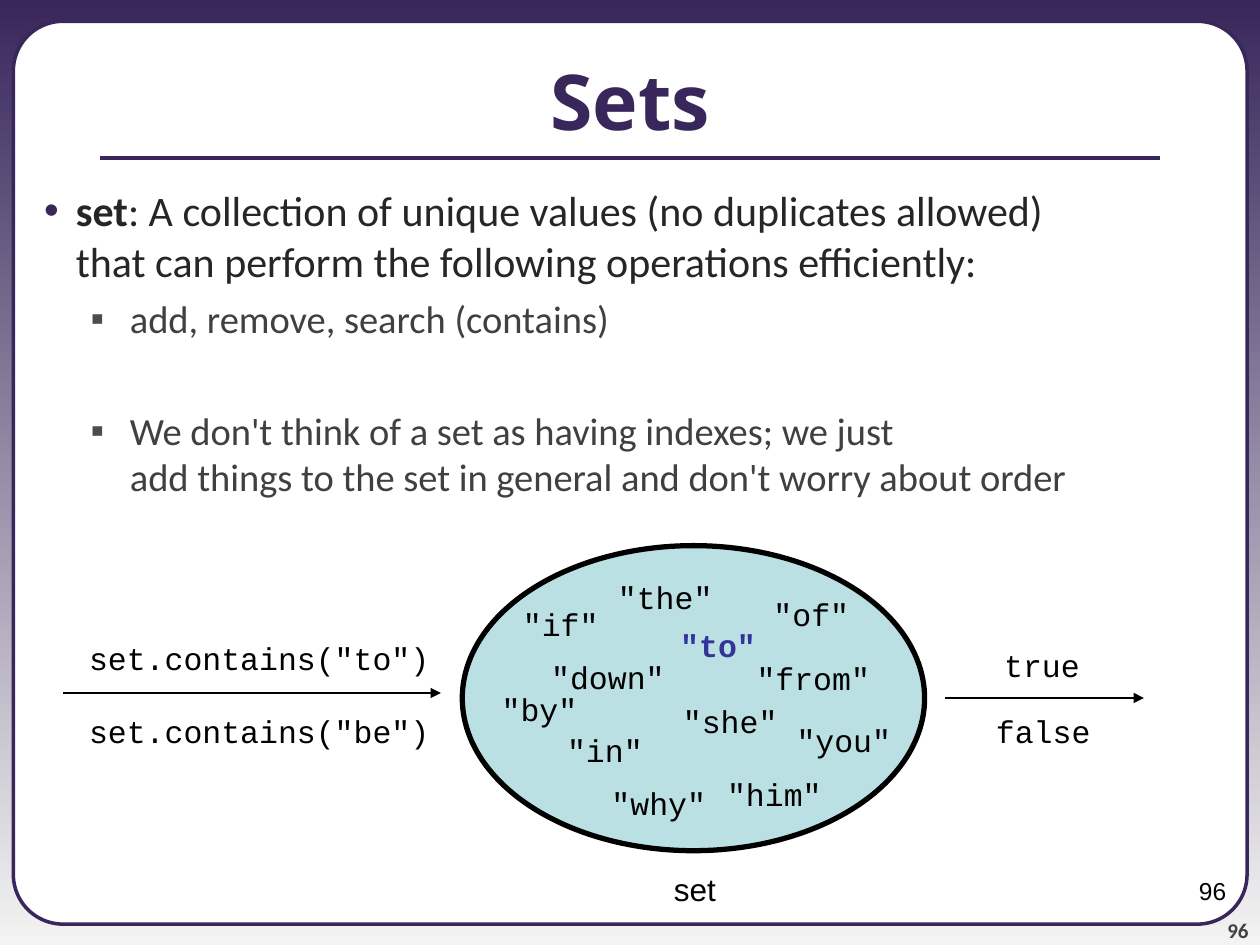
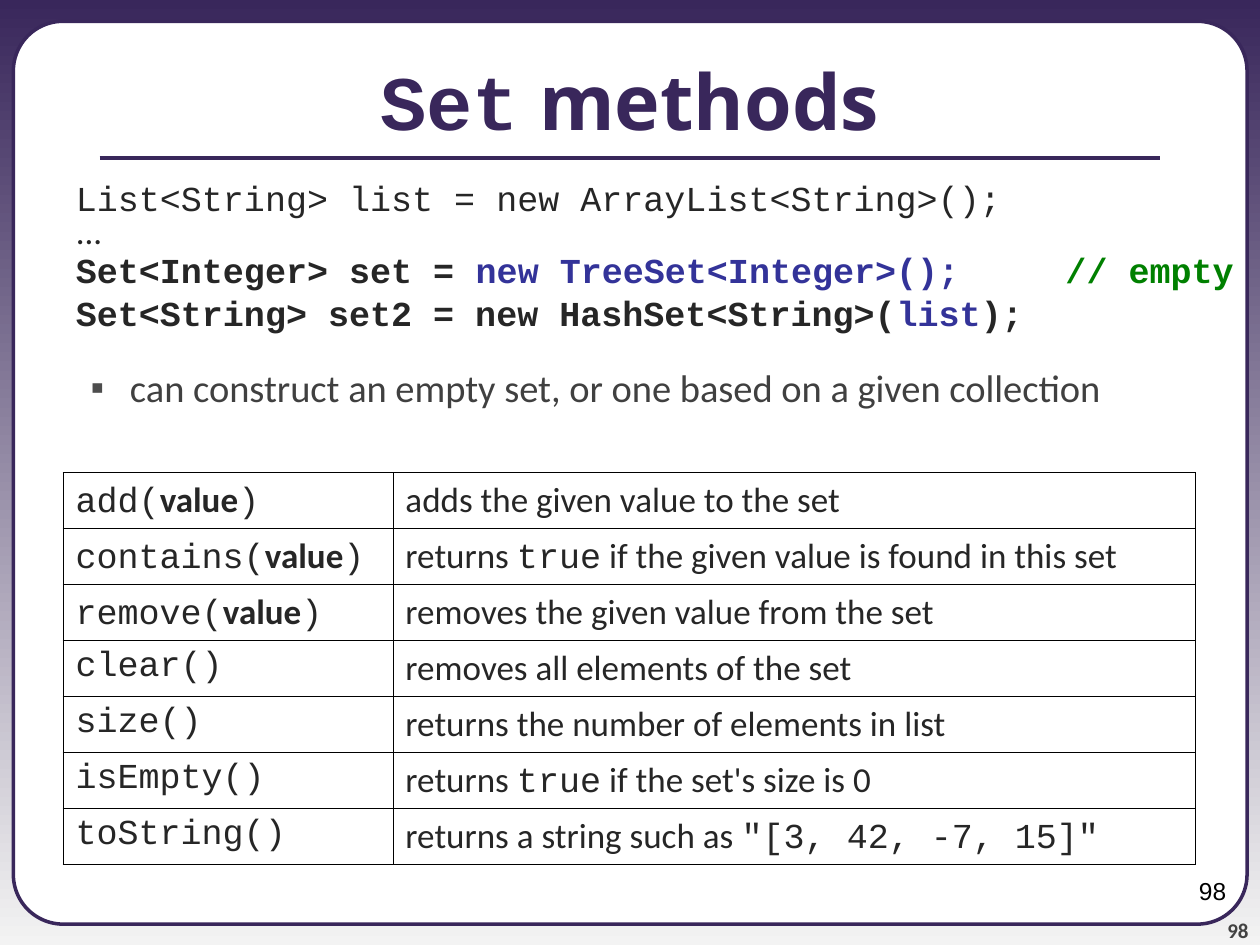
"""Build two lecture slides about sets."""
from dataclasses import dataclass

import lxml.etree
import pptx
import pptx.dml.color
import pptx.enum.shapes
import pptx.enum.text
import pptx.oxml.ns
import pptx.util

Cm = pptx.util.Cm
Pt = pptx.util.Pt
qn = pptx.oxml.ns.qn
ALIGN = pptx.enum.text.PP_ALIGN
ANCHOR = pptx.enum.text.MSO_ANCHOR
SHAPE = pptx.enum.shapes.MSO_SHAPE

PURPLE, PALE, WHITE, BLACK = "39275B", "F3F3F3", "FFFFFF", "000000"
INK, GREY, BULLET_GREY, FOOT = "262626", "404040", "4D4D4D", "424242"
BLUE, GREEN, AQUA = "333399", "008000", "BBE0E3"
SANS, MONO, HEAD, PLAIN = "Calibri", "Courier New", "Noto Sans", "Arial"


@dataclass(frozen=True)
class Run:
    """A stretch of text in one format."""
    text: str
    size: float
    font: str = SANS
    color: str = INK
    bold: bool = False


@dataclass(frozen=True)
class Para:
    """A paragraph with its indents (cm) and spacing (points)."""
    runs: tuple[Run, ...]
    align: ALIGN = ALIGN.LEFT
    before: float = 0
    spacing: float = 1
    margin: float = 0
    hang: float = 0
    bullet: str = ""
    bullet_color: str = BULLET_GREY


@dataclass(frozen=True)
class Label:
    """A short centred text placed by its left top corner (cm)."""
    text: str
    left: float
    top: float
    font: str = MONO
    color: str = BLACK
    bold: bool = False


@dataclass(frozen=True)
class Arrow:
    """A horizontal arrow (cm)."""
    start: float
    end: float
    y: float


ARROWS = (Arrow(1.27, 8.89, 13.97), Arrow(19.05, 23.06, 14.07))
LABELS = (
    Label('set.contains("to")', 1.45, 12.75),
    Label('set.contains("be")', 1.45, 14.22),
    Label("true", 19.96, 12.9),
    Label("false", 19.79, 14.22),
    Label("set", 13.16, 17.4, PLAIN),
    Label('"the"', 12.17, 11.53),
    Label('"of"', 15.31, 11.86),
    Label('"from"', 14.96, 13.16),
    Label('"to"', 13.43, 12.5, color=BLUE, bold=True),
    Label('"she"', 13.48, 14.02),
    Label('"you"', 15.77, 14.4),
    Label('"him"', 14.37, 15.49),
    Label('"why"', 12.04, 15.67),
    Label('"in"', 11.15, 14.6),
    Label('"down"', 10.82, 13.13),
    Label('"by"', 9.83, 13.79),
    Label('"if"', 10.26, 12.07),
)


def rgb(value: str) -> pptx.dml.color.RGBColor:
    """Turn a hex string into a colour."""
    return pptx.dml.color.RGBColor.from_string(value)


def apply(target, values: dict) -> None:
    """Set each attribute named in values."""
    for name, value in values.items():
        setattr(target, name, value)


def add_child(parent, tag: str, **attributes: str):
    """Append an XML element and return it."""
    child = lxml.etree.SubElement(parent, qn(tag))
    for name, value in attributes.items():
        child.set(name, value)
    return child


def add_run(p, run: Run) -> None:
    """Add a run, with a line break at each newline."""
    for i, line in enumerate(run.text.split("\n")):
        if i:
            p.add_line_break()
        r = p.add_run()
        r.text = line
        apply(r.font, {"size": Pt(run.size), "name": run.font, "bold": run.bold})
        r.font.color.rgb = rgb(run.color)


def write(tf, paras: tuple[Para, ...]) -> None:
    """Fill a text frame with paragraphs."""
    for i, para in enumerate(paras):
        p = tf.add_paragraph() if i else tf.paragraphs[0]
        pPr = p._p.get_or_add_pPr()
        pPr.set("marL", str(Cm(para.margin)))
        pPr.set("indent", str(Cm(-para.hang)))
        if para.bullet:
            add_child(add_child(pPr, "a:buClr"), "a:srgbClr", val=para.bullet_color)
            add_child(pPr, "a:buFont", typeface=PLAIN)
            add_child(pPr, "a:buChar", char=para.bullet)
        apply(p, {"alignment": para.align, "space_before": Pt(para.before),
                  "line_spacing": para.spacing})
        for run in para.runs:
            add_run(p, run)


def add_text(s, left: float, top: float, width: float, height: float,
             paras: tuple[Para, ...], anchor=ANCHOR.TOP, wrap: bool = True,
             inset: tuple[float, float] = (0.25, 0.13)) -> None:
    """Add a text box."""
    tf = s.shapes.add_textbox(Cm(left), Cm(top), Cm(width), Cm(height)).text_frame
    across, down = map(Cm, inset)
    apply(tf, {"word_wrap": wrap, "vertical_anchor": anchor, "margin_left": across,
               "margin_right": across, "margin_top": down, "margin_bottom": down})
    write(tf, paras)


def add_panel(s, kind, left: float, top: float, width: float, height: float,
              fill: str, line: str, weight: float):
    """Add a filled and outlined shape."""
    sp = s.shapes.add_shape(kind, Cm(left), Cm(top), Cm(width), Cm(height))
    sp.shadow.inherit = False
    sp.fill.solid()
    sp.fill.fore_color.rgb = rgb(fill)
    sp.line.color.rgb = rgb(line)
    sp.line.width = Pt(weight)
    return sp


def add_line(s, start: float, end: float, y: float, color: str, weight: float,
             arrow: bool = False) -> None:
    """Add a horizontal line, with an arrowhead if asked."""
    line = s.shapes.add_connector(pptx.enum.shapes.MSO_CONNECTOR.STRAIGHT,
                                  Cm(start), Cm(y), Cm(end), Cm(y))
    line.line.color.rgb = rgb(color)
    line.line.width = Pt(weight)
    if arrow:
        add_child(line.line._get_or_add_ln(), "a:tailEnd", type="triangle")
    add_child(line._element.spPr, "a:effectLst")


def add_slide(prs, number: int, *title: Run):
    """Add a slide with background, frame, title and page numbers."""
    s = prs.slides.add_slide(prs.slide_layouts[6])
    fill = s.background.fill
    fill.gradient()
    fill.gradient_angle = 270
    for stop, color in zip(fill.gradient_stops, (PURPLE, PALE)):
        stop.color.rgb = rgb(color)
    frame = add_panel(s, SHAPE.ROUNDED_RECTANGLE, 0.27, 0.43, 24.87, 18.2,
                      WHITE, PURPLE, 2)
    frame.adjustments[0] = 0.055
    add_text(s, 23.06, 17.98, 2.11, 1.02,
             (Para((Run(str(number), 12, SANS, FOOT, True),), ALIGN.RIGHT),),
             ANCHOR.BOTTOM, inset=(0, 0))
    add_line(s, 2.01, 23.39, 3.18, PURPLE, 2.25)
    add_text(s, 0, 0.43, 25.4, 3.18, (Para(title, ALIGN.CENTER),), ANCHOR.MIDDLE)
    add_text(s, 19.05, 17.52, 5.92, 1.32,
             (Para((Run(str(number), 14, PLAIN, BLACK),), ALIGN.RIGHT),))
    return s


def title_run(text: str, font: str = HEAD) -> Run:
    """Return a run in the title format."""
    return Run(text, 44, font, PURPLE, True)


def point(text: str, before: float) -> Para:
    """Return a second-level bullet."""
    return Para((Run(text, 22, SANS, GREY),), before=before,
                margin=2.37, hang=0.79, bullet="▪")


def code(*runs: Run, before: float = 5, spacing: float = 0.8) -> Para:
    """Return a line of code."""
    return Para(runs, before=before, spacing=spacing, margin=1.28)


def mono(text: str, color: str = INK, bold: bool = False) -> Run:
    """Return a run of code."""
    return Run(text, 20, MONO, color, bold)


def add_body(s, *paras: Para) -> None:
    """Add the main text below the title."""
    add_text(s, 0, 3.6, 25.4, 15.44, paras)


def add_methods(s, rows: tuple[tuple[tuple[Run, ...], ...], ...]) -> None:
    """Add the table of methods."""
    widths = (6.65, 16.18)
    table = s.shapes.add_table(len(rows), len(widths), Cm(1.27), Cm(9.53),
                               Cm(sum(widths)), Cm(1.13 * len(rows))).table
    apply(table, {"first_row": False, "horz_banding": False})
    for column, width in zip(table.columns, widths):
        column.width = Cm(width)
    for i, row in enumerate(rows):
        for j, runs in enumerate(row):
            cell = table.cell(i, j)
            tcPr = cell._tc.get_or_add_tcPr()
            for side in ("a:lnL", "a:lnR", "a:lnT", "a:lnB"):
                ln = add_child(tcPr, side, w=str(Pt(0.45)))
                add_child(add_child(ln, "a:solidFill"), "a:srgbClr", val=BLACK)
            cell.fill.background()
            write(cell.text_frame, (Para(runs),))


def build_sets(prs) -> None:
    """Build the slide that introduces sets."""
    s = add_slide(prs, 96, title_run("Sets"))
    add_body(
        s,
        Para((Run("set", 24, bold=True),
              Run(": A collection of unique values (no duplicates allowed)\n"
                  "that can perform the following operations efficiently:", 24)),
             margin=1.28, hang=0.64, bullet="•", bullet_color=PURPLE),
        point("add, remove, search (contains)", 5.5),
        point("We don't think of a set as having indexes; we just\n"
              "add things to the set in general and don't worry about order", 37.5))
    for arrow in ARROWS:
        add_line(s, arrow.start, arrow.end, arrow.y, BLACK, 0.75, arrow=True)
    add_panel(s, SHAPE.OVAL, 9.32, 11, 9.32, 6.15, AQUA, BLACK, 3)
    for label in LABELS:
        run = Run(label.text, 18, label.font, label.color, label.bold)
        add_text(s, label.left, label.top, 0.39 * len(label.text) + 0.53, 1.02,
                 (Para((run,), ALIGN.CENTER),), wrap=False)


def build_methods(prs) -> None:
    """Build the slide that lists the set methods."""
    s = add_slide(prs, 98, title_run("Set", MONO), title_run(" methods"))
    add_body(
        s,
        code(mono("List<String> list = new ArrayList<String>();"), before=0),
        code(Run("...", 20), spacing=0.5),
        code(mono("Set<Integer> set = ", bold=True),
             mono("new TreeSet<Integer>();", BLUE, True)),
        code(mono("Set<String> set2 = new HashSet<String>(", bold=True),
             mono("list", BLUE, True), mono(");", bold=True)),
        point("can construct an empty set, or one based on a given collection", 17.5))
    add_text(s, 21.23, 4.87, 3.9, 1.02, (Para((mono("// empty", GREEN, True),)),),
             wrap=False)
    value = Run("value", 20, bold=True)
    takes_value = [(mono(f"{name}("), value, mono(")"))
                   for name in ("add", "contains", "remove")]
    takes_none = [(mono(f"{name}()"),)
                  for name in ("clear", "size", "isEmpty", "toString")]
    effects = (
        (Run("adds the given value to the set", 20),),
        (Run("returns ", 20), mono("true"),
         Run(" if the given value is found in this set", 20)),
        (Run("removes the given value from the set", 20),),
        (Run("removes all elements of the set", 20),),
        (Run("returns the number of elements in list", 20),),
        (Run("returns ", 20), mono("true"), Run(" if the set's size is 0", 20)),
        (Run("returns a string such as ", 20), mono('"[3, 42, -7, 15]"')),
    )
    add_methods(s, tuple(zip(takes_value + takes_none, effects)))


def main() -> None:
    """Build and save the presentation."""
    prs = pptx.Presentation()
    apply(prs, {"slide_width": Cm(25.4), "slide_height": Cm(19.05)})
    build_sets(prs)
    build_methods(prs)
    prs.save("out.pptx")


if __name__ == "__main__":
    main()
